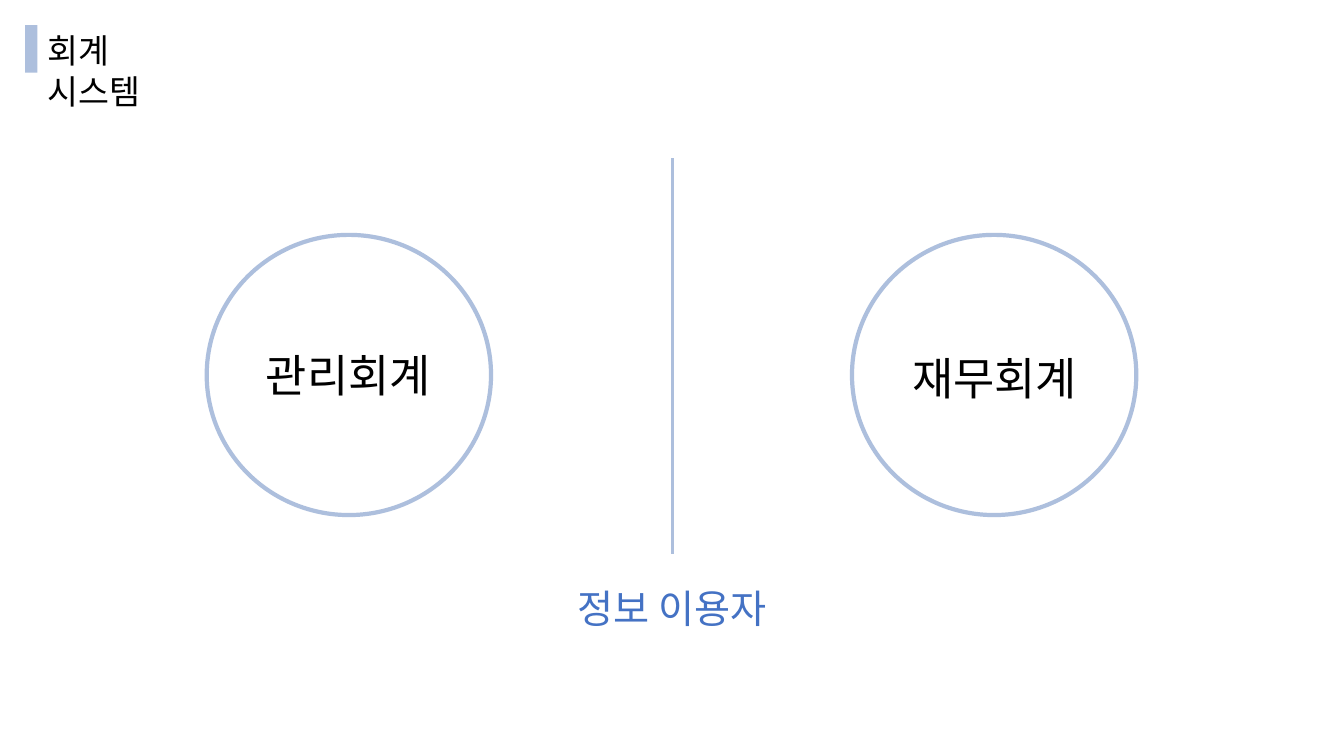
from dataclasses import dataclass
from typing import Any

from lxml.etree import SubElement
from pptx import Presentation
from pptx.dml.color import RGBColor
from pptx.enum.shapes import MSO_CONNECTOR, MSO_SHAPE
from pptx.enum.text import MSO_AUTO_SIZE, PP_ALIGN
from pptx.oxml.ns import qn
from pptx.util import Pt

SCALE = 9144


@dataclass(frozen=True)
class Theme:
    face: str = "Noto Sans CJK KR"
    ink: str = "000000"
    paper: str = "FFFFFF"
    pale: str = "ADBFDD"
    blue: str = "4472C4"
    title: int = 24
    user: int = 28
    topic: int = 32
    ring: float = 3
    rule: float = 2.25


THEME = Theme()


@dataclass(frozen=True)
class Box:
    left: int
    top: int
    width: int
    height: int

    def emu(self) -> list[int]:
        return [px(n) for n in (self.left, self.top, self.width, self.height)]


@dataclass(frozen=True)
class Label:
    text: str
    box: Box
    size: int
    color: str = THEME.ink
    align: PP_ALIGN = PP_ALIGN.CENTER


@dataclass(frozen=True)
class Figure:
    kind: MSO_SHAPE
    box: Box
    fill: str
    edge: float = 0


RINGS = [Figure(MSO_SHAPE.OVAL, Box(left, 233, 282, 278), THEME.paper, THEME.ring)
         for left in (845, 205)]
MARK = Figure(MSO_SHAPE.RECTANGLE, Box(25, 25, 12, 47), THEME.pale)
LABELS = [
    Label("관리회계", Box(165, 340, 361, 64), THEME.topic),
    Label("재무회계", Box(806, 343, 361, 64), THEME.topic),
    Label("정보 이용자", Box(457, 575, 419, 57), THEME.user, THEME.blue),
    Label("회계 시스템", Box(37, 25, 176, 50), THEME.title, align=PP_ALIGN.LEFT),
]


def px(count: int) -> int:
    return count * SCALE


def rgb(code: str) -> RGBColor:
    return RGBColor.from_string(code)


def style(item: Any, values: dict[str, Any]) -> None:
    for name, value in values.items():
        setattr(item, name, value)


def draw_figure(slide: Any, figure: Figure) -> None:
    shape = slide.shapes.add_shape(figure.kind, *figure.box.emu())
    shape.shadow.inherit = False
    shape.fill.solid()
    shape.fill.fore_color.rgb = rgb(figure.fill)
    if figure.edge:
        shape.line.color.rgb = rgb(THEME.pale)
        shape.line.width = Pt(figure.edge)
    else:
        shape.line.fill.background()


def draw_label(slide: Any, label: Label) -> None:
    frame = slide.shapes.add_textbox(*label.box.emu()).text_frame
    style(frame, {"word_wrap": True, "auto_size": MSO_AUTO_SIZE.SHAPE_TO_FIT_TEXT})
    line = frame.paragraphs[0]
    line.alignment = label.align
    run = line.add_run()
    run.text = label.text
    style(run.font, {"name": THEME.face, "size": Pt(label.size)})
    run.font.color.rgb = rgb(label.color)
    east = SubElement(run._r.get_or_add_rPr(), qn("a:ea"))
    east.set("typeface", THEME.face)


def draw_rule(slide: Any, left: int, top: int, end: int) -> None:
    rule = slide.shapes.add_connector(
        MSO_CONNECTOR.STRAIGHT, px(left), px(top), px(left), px(end))
    rule.line.color.rgb = rgb(THEME.pale)
    rule.line.width = Pt(THEME.rule)
    SubElement(rule._element.spPr, qn("a:effectLst"))


def main() -> None:
    deck = Presentation()
    style(deck, {"slide_width": px(1333), "slide_height": px(750)})
    slide = deck.slides.add_slide(deck.slide_layouts[6])
    for ring in RINGS:
        draw_figure(slide, ring)
    draw_rule(slide, 667, 157, 550)
    for label in LABELS:
        draw_label(slide, label)
    draw_figure(slide, MARK)
    deck.save("out.pptx")


if __name__ == "__main__":
    main()
